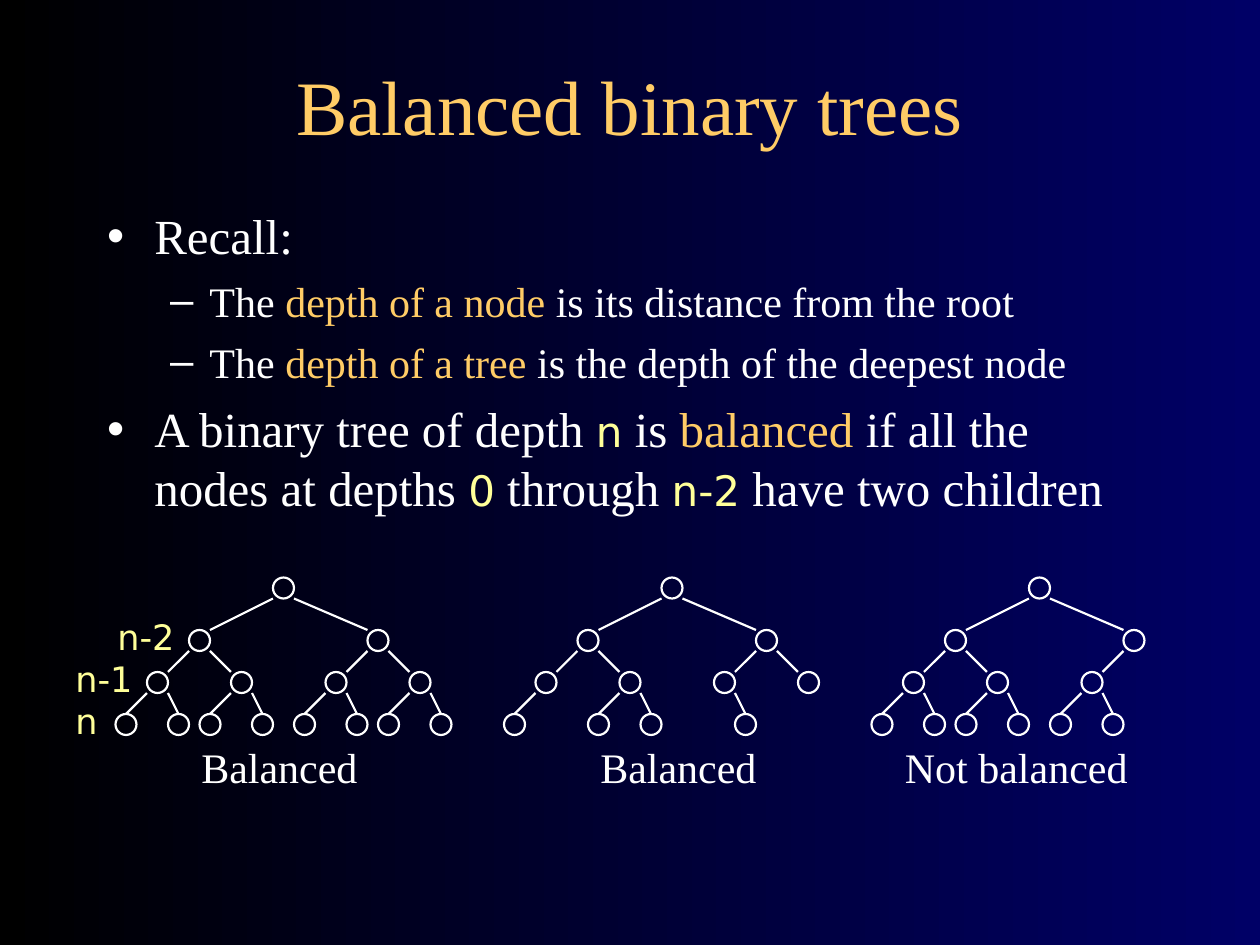
from lxml.etree import SubElement
from pptx import Presentation
from pptx.dml.color import RGBColor
from pptx.enum.shapes import MSO_CONNECTOR as Connector, MSO_SHAPE as Shape
from pptx.enum.text import MSO_ANCHOR as Anchor, MSO_AUTO_SIZE as AutoSize, PP_ALIGN as Align
from pptx.oxml.ns import qn
from pptx.util import Pt

BLACK = RGBColor(0x00, 0x00, 0x00)
NAVY = RGBColor(0x00, 0x00, 0x66)
WHITE = RGBColor(0xFF, 0xFF, 0xFF)
GOLD = RGBColor(0xFF, 0xCC, 0x66)
YELLOW = RGBColor(0xFF, 0xFF, 0x99)
SERIF, SANS = "Times New Roman", "DejaVu Sans"

# Content: bullets are (level, [(text, style), ...])
TITLE = "Balanced binary trees"
BULLETS = [
    (0, [("Recall:", "plain")]),
    (1, [("The ", "plain"), ("depth of a node", "term"),
         (" is its distance from the root", "plain")]),
    (1, [("The ", "plain"), ("depth of a tree", "term"),
         (" is the depth of the deepest node", "plain")]),
    (0, [("A binary tree of depth ", "plain"), ("n", "code"), (" is ", "plain"),
         ("balanced", "term"), (" if all the nodes at depths ", "plain"),
         ("0", "code"), (" through ", "plain"), ("n-2", "code"),
         (" have two children", "plain")]),
]
# Trees: root left, missing nodes (root is 1, children of k are 2k and 2k+1),
# caption, caption left and width
TREES = [
    (156, set(), "Balanced", 108, 108),
    (378, {9, 12, 14, 15}, "Balanced", 336, 114),
    (588, {7, 14, 15}, "Not balanced", 510, 150),
]
# Depth labels: text, left, top
DEPTHS = [("n-2", 60, 348), ("n-1", 36, 372), ("n", 36, 396)]

# Tree geometry
NODE = 12
TOPS = [330, 360, 384, 408]
STEPS = [(-48, 54), (-24, 24), (-18, 12)]  # left and right child, by parent depth
CAPTION_TOP = 420

LEVELS = [(28, 7), (24, 6)]  # text size, space before
STYLES = {"plain": (SERIF, WHITE), "term": (SERIF, GOLD), "code": (SANS, YELLOW)}


def set_font(font, name, size, color):
    font.name, font.size = name, Pt(size)
    font.color.rgb = color


def place(shape, left, top, width, height):
    shape.left, shape.top = Pt(left), Pt(top)
    shape.width, shape.height = Pt(width), Pt(height)


def add_label(shapes, text, left, top, width, height, name, size, color):
    box = shapes.add_textbox(Pt(left), Pt(top), Pt(width), Pt(height))
    box.text_frame.word_wrap = True
    box.text_frame.auto_size = AutoSize.SHAPE_TO_FIT_TEXT
    para = box.text_frame.paragraphs[0]
    para.text = text
    para.space_before = Pt(size * 0.625)
    set_font(para.font, name, size, color)


def add_node(shapes, left, top):
    node = shapes.add_shape(Shape.OVAL, Pt(left), Pt(top), Pt(NODE), Pt(NODE))
    node.shadow.inherit = False
    node.fill.background()
    node.line.color.rgb = WHITE
    node.line.width = Pt(1.25)


def add_edge(shapes, x1, y1, x2, y2):
    edge = shapes.add_connector(Connector.STRAIGHT, Pt(x1), Pt(y1), Pt(x2), Pt(y2))
    edge.line.color.rgb = WHITE
    edge.line.width = Pt(1.25)
    SubElement(edge._element.spPr, qn("a:effectLst"))


def add_tree(shapes, left, missing, number=1, depth=0):
    """Draw a node, then each child it has with the edge leading to it."""
    add_node(shapes, left, TOPS[depth])
    if depth == len(STEPS):
        return
    for side, step in enumerate(STEPS[depth]):
        child = 2 * number + side
        if child in missing:
            continue
        child_left = left + step
        # Edges meet leaves at the middle, other nodes at the inner corner
        is_leaf = depth + 1 == len(STEPS)
        child_x = child_left + (NODE / 2 if is_leaf else NODE * (1 - side))
        add_edge(shapes, child_x, TOPS[depth + 1], left + NODE * side, TOPS[depth] + NODE)
        add_tree(shapes, child_left, missing, child, depth + 1)


deck = Presentation()
deck.slide_width, deck.slide_height = Pt(720), Pt(540)
page = deck.slides.add_slide(deck.slide_layouts[1])

# Background
backdrop = page.background.fill
backdrop.gradient()
backdrop.gradient_angle = 0
for stop, color in zip(backdrop.gradient_stops, (BLACK, NAVY)):
    stop.color.rgb = color

# Title
title = page.shapes.title
place(title, 24, 30, 672, 60)
title.text_frame.auto_size = AutoSize.NONE
title.text_frame.vertical_anchor = Anchor.MIDDLE
para = title.text_frame.paragraphs[0]
para.text = TITLE
para.alignment = Align.CENTER
set_font(para.font, SERIF, 44, GOLD)

# Bullets
body = page.placeholders[1]
place(body, 54, 114, 612, 192)
frame = body.text_frame
frame.auto_size = AutoSize.NONE
for index, (level, spans) in enumerate(BULLETS):
    para = frame.add_paragraph() if index else frame.paragraphs[0]
    size, space = LEVELS[level]
    para.level = level
    para.space_before = Pt(space)
    for text, style in spans:
        span = para.add_run()
        span.text = text
        set_font(span.font, STYLES[style][0], 24 if style == "code" else size, STYLES[style][1])

# Trees with captions
for root_left, missing, caption, caption_left, width in TREES:
    group = page.shapes.add_group_shape()
    add_label(group.shapes, caption, caption_left, CAPTION_TOP, width, 36, SERIF, 24, WHITE)
    add_tree(group.shapes, root_left, missing)

# Depth labels
group = page.shapes.add_group_shape()
for text, left, top in DEPTHS:
    add_label(group.shapes, text, left, top, 54, 31.5, SANS, 20, YELLOW)

deck.save("out.pptx")
